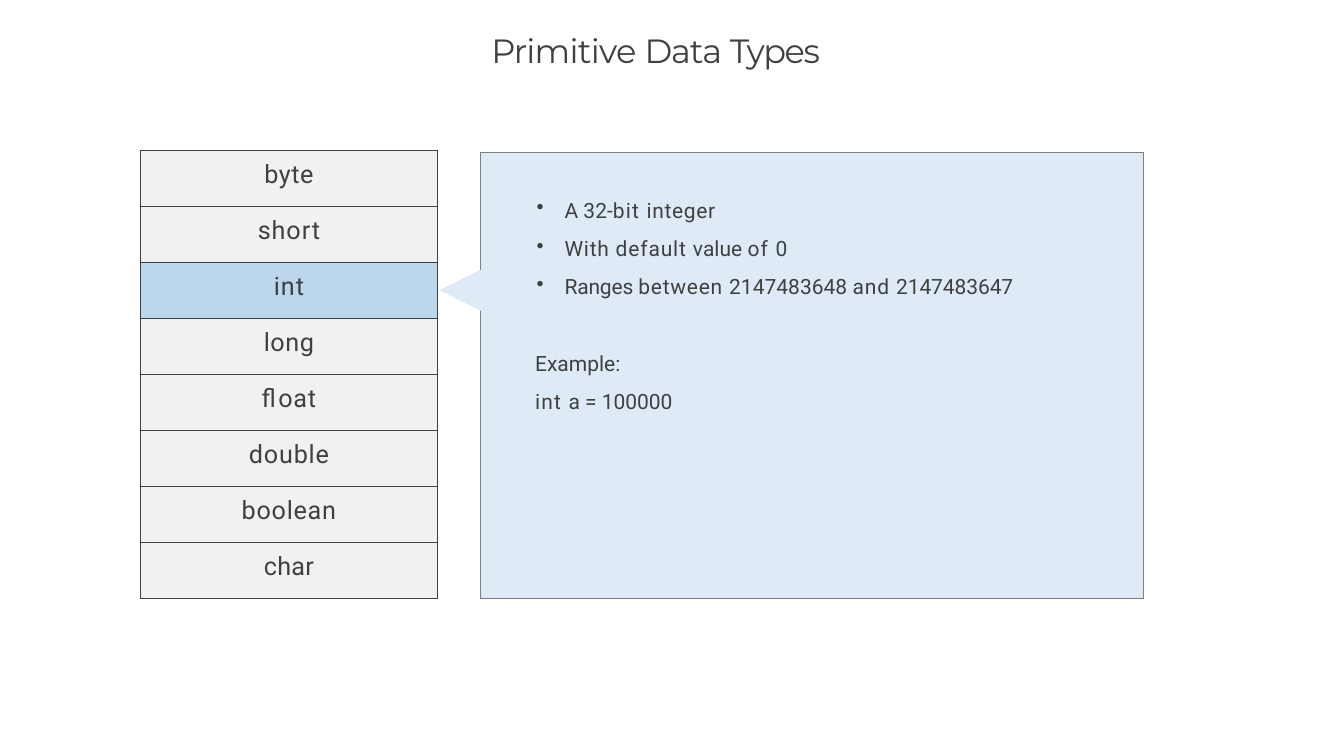
from lxml import etree
from pptx import Presentation
from pptx.dml.color import RGBColor
from pptx.enum.shapes import MSO_SHAPE
from pptx.enum.text import PP_ALIGN
from pptx.oxml.ns import qn
from pptx.util import Cm, Pt

RECTANGLE = MSO_SHAPE.RECTANGLE
LEFT, CENTER = PP_ALIGN.LEFT, PP_ALIGN.CENTER

INK = RGBColor(0x40, 0x40, 0x40)
OUTLINE = RGBColor(0x7E, 0x7E, 0x7E)
ROW_FILL = RGBColor(0xF1, 0xF1, 0xF1)
SELECTED_FILL = RGBColor(0xBC, 0xD6, 0xED)
PANEL_FILL = RGBColor(0xDE, 0xEB, 0xF7)

TITLE = [("Primitive ", -0.7), ("Data ", -1.1), ("Types", -1.4)]
TYPES = [("byte", 0.5), ("short", 0.9), ("int", 0.9), ("long", 0.5),
         ("float", 0.8), ("double", 0.8), ("boolean", 0.7), ("char", 0.3)]
SELECTED = "int"
FACTS = [
    [("A 32-", 0), ("bit ", 1.1), ("integer", 0.6)],
    [("With ", 0.7), ("default ", 0.8), ("value ", 0), ("of ", 1.1), ("0", -0.5)],
    [("Ranges ", -0.2), ("between ", 0.7), ("2147483648 ", 0), ("and ", 0.8),
     ("2147483647", -0.1)],
]
EXAMPLE = [
    [("Example:", 0)],
    [("int ", 1.1), ("a = ", 0), ("100000", -0.1)],
]

LIST_LEFT, LIST_TOP, LIST_WIDTH, ROW_HEIGHT = 4.72, 5.05, 9.98, 1.88
PANEL_LEFT, PANEL_TOP, PANEL_WIDTH, PANEL_HEIGHT = 16.15, 5.13, 22.29, 14.99
POINTER_TIP, POINTER_BASE, POINTER_HALF = 14.76, 16.87, 1.04


def write(paragraph, runs, size, font="Roboto", align=LEFT, before=0, bullet=False):
    paragraph.alignment = align
    paragraph.space_before = Pt(before)
    if bullet:
        properties = paragraph._p.get_or_add_pPr()
        properties.set("marL", str(Cm(0.99)))
        properties.set("indent", str(Cm(-0.94)))
        etree.SubElement(properties, qn("a:buChar"), char="•")
    for text, spacing in runs:
        run = paragraph.add_run()
        run.text = text
        run.font.size = Pt(size)
        run.font.name = font
        run.font.color.rgb = INK
        run._r.get_or_add_rPr().set("spc", str(round(spacing * 100)))


def add_text_area(slide, left, top, width, height, inset_top):
    frame = slide.shapes.add_textbox(Cm(left), Cm(top), Cm(width), Cm(height)).text_frame
    frame.word_wrap = True
    frame.margin_left = frame.margin_right = frame.margin_bottom = 0
    frame.margin_top = Cm(inset_top)
    return frame


def outline_cell(cell):
    properties = cell._tc.get_or_add_tcPr()
    for position, side in enumerate(("a:lnL", "a:lnR", "a:lnT", "a:lnB")):
        border = etree.Element(qn(side), w=str(Pt(0.75)))
        fill = etree.SubElement(border, qn("a:solidFill"))
        etree.SubElement(fill, qn("a:srgbClr"), val=str(INK))
        properties.insert(position, border)


def add_type_list(slide):
    table = slide.shapes.add_table(
        len(TYPES), 1, Cm(LIST_LEFT), Cm(LIST_TOP),
        Cm(LIST_WIDTH), Cm(ROW_HEIGHT * len(TYPES))).table
    table.first_row = table.horz_banding = False
    for index, (name, spacing) in enumerate(TYPES):
        table.rows[index].height = Cm(ROW_HEIGHT)
        cell = table.cell(index, 0)
        cell.margin_left = cell.margin_right = cell.margin_bottom = 0
        cell.margin_top = Cm(0.33)
        cell.fill.solid()
        cell.fill.fore_color.rgb = SELECTED_FILL if name == SELECTED else ROW_FILL
        outline_cell(cell)
        write(cell.text_frame.paragraphs[0], [(name, spacing)], 24, align=CENTER)


def add_panel(slide):
    panel = slide.shapes.add_shape(
        RECTANGLE, Cm(PANEL_LEFT), Cm(PANEL_TOP), Cm(PANEL_WIDTH), Cm(PANEL_HEIGHT))
    panel.line.color.rgb = OUTLINE
    panel.line.width = Pt(0.96)

    selected_row = [name for name, _ in TYPES].index(SELECTED)
    middle = LIST_TOP + ROW_HEIGHT * (selected_row + 0.5)
    outline = slide.shapes.build_freeform(Cm(POINTER_BASE), Cm(middle - POINTER_HALF))
    outline.add_line_segments([(Cm(POINTER_TIP), Cm(middle)),
                               (Cm(POINTER_BASE), Cm(middle + POINTER_HALF))])
    pointer = outline.convert_to_shape()
    pointer.line.fill.background()

    for shape in (panel, pointer):
        shape.shadow.inherit = False
        shape.fill.solid()
        shape.fill.fore_color.rgb = PANEL_FILL


def add_details(slide):
    frame = add_text_area(slide, 17.98, 6.17, 16.31, 7.7, 0.46)
    for index, runs in enumerate(FACTS + EXAMPLE):
        paragraph = frame.add_paragraph() if index else frame.paragraphs[0]
        before = 49 if index == len(FACTS) else 12.5
        write(paragraph, runs, 20, before=before, bullet=index < len(FACTS))


def main():
    presentation = Presentation()
    presentation.slide_width, presentation.slide_height = Cm(45.16), Cm(25.4)
    slide = presentation.slides.add_slide(presentation.slide_layouts[6])
    add_panel(slide)
    add_details(slide)
    add_type_list(slide)
    title = add_text_area(slide, 16.51, 0.97, 12.17, 1.42, 0.03)
    write(title.paragraphs[0], TITLE, 32, font="Montserrat")
    presentation.save("out.pptx")


if __name__ == "__main__":
    main()
